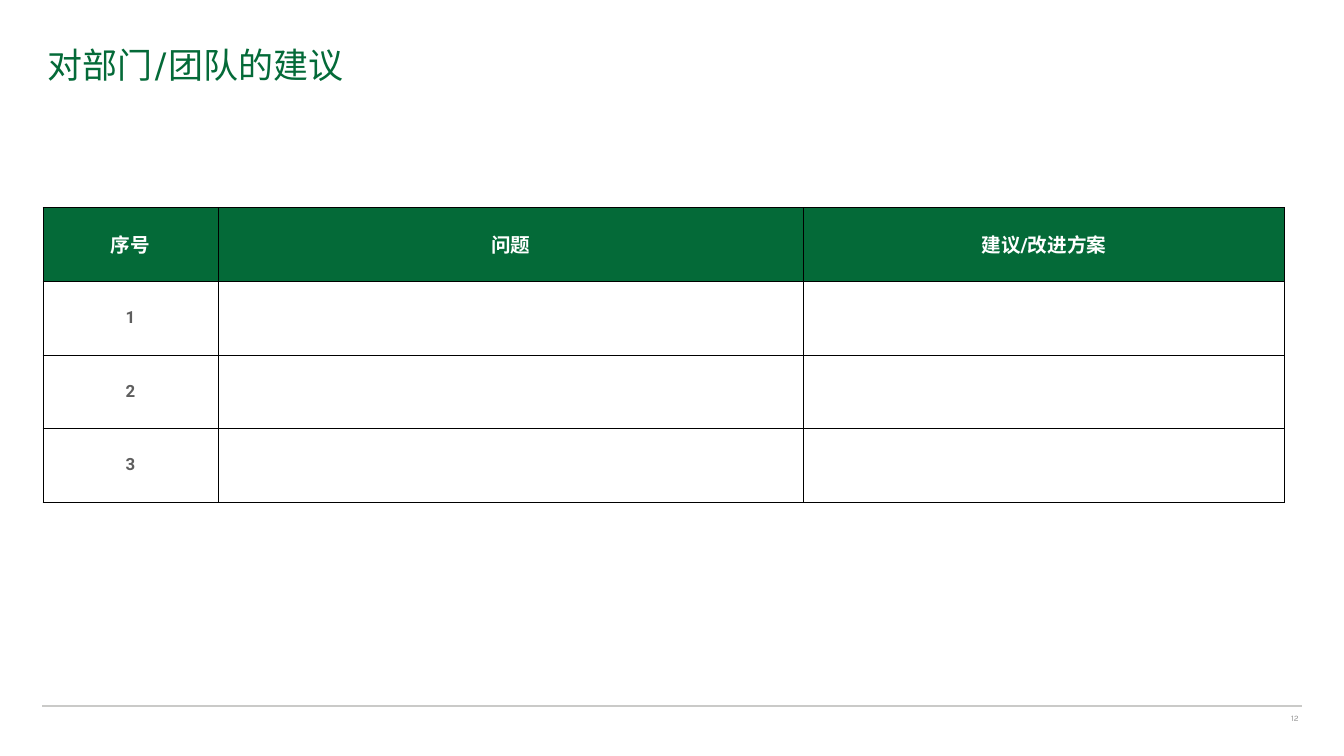
import pptx
import pptx.util
import pptx.dml.color
import pptx.enum.text
import pptx.oxml
import pptx.oxml.ns
import lxml.etree

Inches = pptx.util.Inches
Pt = pptx.util.Pt
align = pptx.enum.text.PP_ALIGN
middle = pptx.enum.text.MSO_ANCHOR.MIDDLE


def color(code):
    return pptx.dml.color.RGBColor.from_string(code)


def style(para, size, font, code, side, bold=False):
    para.alignment = side
    for run in para.runs:
        run.font.size = Pt(size)
        run.font.name = font
        run.font.bold = bold
        run.font.color.rgb = color(code)


deck = pptx.Presentation()
deck.slide_width = Inches(26.67)
deck.slide_height = Inches(15)
slide = deck.slides.add_slide(deck.slide_layouts[5])

rule = slide.shapes.add_connector(1, Inches(0.84), Inches(14.01), Inches(25.83), Inches(14.01))
rule.line.color.rgb = color("CACAC8")
rule.line.width = Pt(2)
lxml.etree.SubElement(rule._element.spPr, pptx.oxml.ns.qn("a:effectLst"))

page = slide.shapes.add_textbox(Inches(22.84), Inches(14.08), Inches(2.99), Inches(0.31))
frame = page.text_frame
frame.word_wrap = True
frame.margin_left = frame.margin_right = Inches(0.06)
frame.margin_top = frame.margin_bottom = Inches(0.06)
frame.text = "12"
style(frame.paragraphs[0], 12, "Karla", "929292", align.RIGHT)

title = slide.shapes.title
title.left, title.top = Inches(0.85), Inches(0.69)
title.width, title.height = Inches(24.98), Inches(1.17)
frame = title.text_frame
frame.text = "对部门/团队的建议"
frame.auto_size = pptx.enum.text.MSO_AUTO_SIZE.NONE
frame.vertical_anchor = middle
style(frame.paragraphs[0], 50, "Karla", "046A38", align.LEFT)

rows = [
    ["序号", "问题", "建议/改进方案"],
    ["1", "", ""],
    ["2", "", ""],
    ["3", "", ""],
]
widths = [3.48, 11.61, 9.55]
high = 1.46
table = slide.shapes.add_table(
    len(rows), len(widths), Inches(0.85), Inches(4.12),
    Inches(sum(widths)), Inches(high * len(rows))).table
for col, width in zip(table.columns, widths):
    col.width = Inches(width)

border = (
    '<a:{} xmlns:a="http://schemas.openxmlformats.org/drawingml/2006/main" w="12700">'
    '<a:solidFill><a:srgbClr val="000000"/></a:solidFill></a:{}>'
)
for r, texts in enumerate(rows):
    table.rows[r].height = Inches(high)
    for c, text in enumerate(texts):
        cell = table.cell(r, c)
        cell.text = text
        cell.vertical_anchor = middle
        props = cell._tc.get_or_add_tcPr()
        for edge in ["lnL", "lnR", "lnT", "lnB"]:
            props.append(pptx.oxml.parse_xml(border.format(edge, edge)))
        para = cell.text_frame.paragraphs[0]
        if r == 0:
            cell.fill.solid()
            cell.fill.fore_color.rgb = color("046A38")
            style(para, 28, "Roboto", "FFFFFF", align.CENTER, True)
        else:
            cell.fill.background()
            style(para, 24, "Roboto", "5E5E5E", align.CENTER, True)

deck.save("out.pptx")
